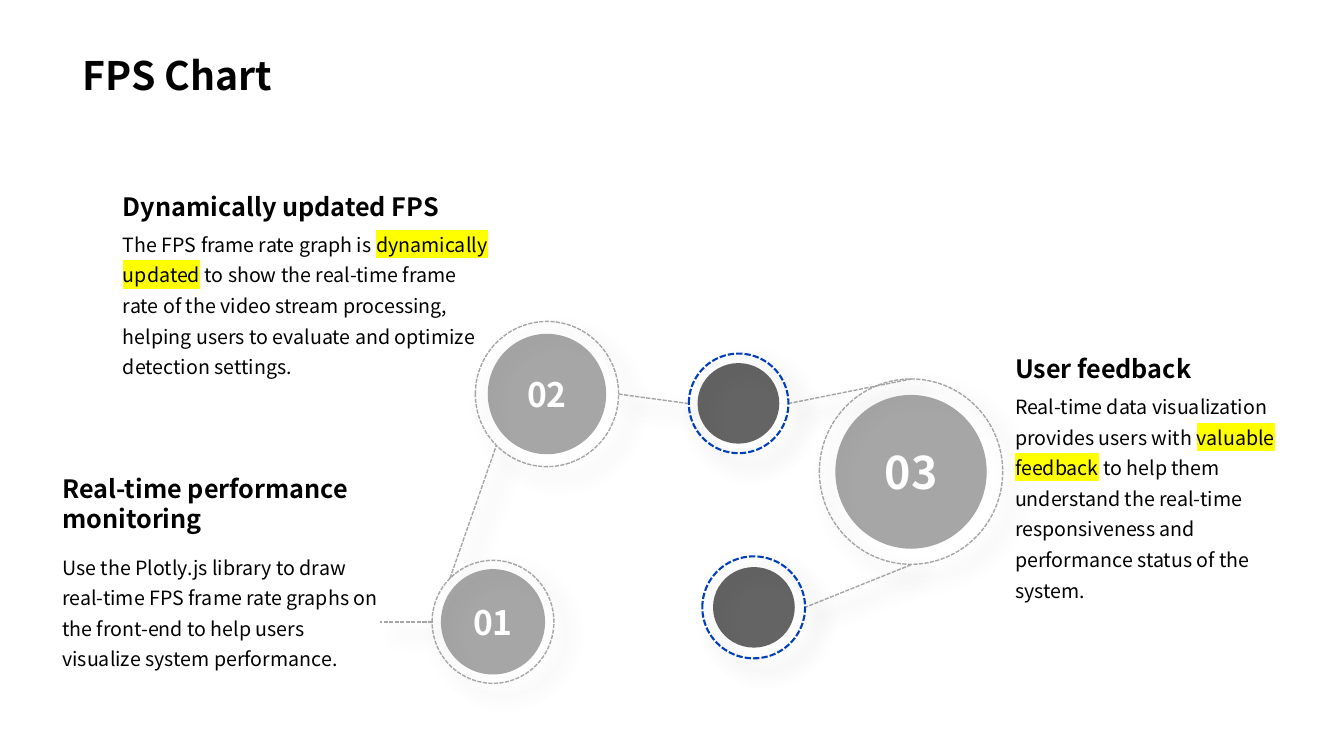
from dataclasses import dataclass
from math import cos, radians, sin

from lxml import etree
from pptx import Presentation
from pptx.dml.color import RGBColor
from pptx.enum.dml import MSO_LINE
from pptx.enum.shapes import MSO_CONNECTOR, MSO_SHAPE
from pptx.enum.text import MSO_ANCHOR, PP_ALIGN
from pptx.oxml.ns import qn
from pptx.util import Cm, Pt

OVAL = MSO_SHAPE.OVAL
STRAIGHT = MSO_CONNECTOR.STRAIGHT
DASH = MSO_LINE.SQUARE_DOT
TOP, MIDDLE, BOTTOM = MSO_ANCHOR.TOP, MSO_ANCHOR.MIDDLE, MSO_ANCHOR.BOTTOM
CENTER = PP_ALIGN.CENTER


@dataclass(frozen=True)
class Theme:
    font: str = "Noto Sans CJK JP"
    ink: str = "000000"
    white: str = "FFFFFF"
    grey: str = "A6A6A6"
    dark: str = "646464"
    blue: str = "003EBB"
    marker: str = "FFFF00"
    title: int = 28
    heading: int = 18
    body: int = 14
    number: int = 24
    big_number: int = 32


THEME = Theme()


@dataclass(frozen=True)
class Node:
    center: tuple
    ring: tuple
    disc: tuple
    fill: str = THEME.grey
    edge: str = THEME.grey
    edge_width: float = 1
    label: str = ""
    size: int = THEME.number

    def rim(self, degrees):
        (x, y), (w, h) = self.center, self.ring
        return x + w / 2 * cos(radians(degrees)), y + h / 2 * sin(radians(degrees))


DARK = {"disc": (2.06, 2.03), "fill": THEME.dark, "edge": THEME.blue, "edge_width": 1.5}
NODES = {
    "monitoring": Node((12.43, 15.67), (3.07, 3.1), (2.59, 2.62), label="01"),
    "updated": Node((13.79, 9.93), (3.61, 3.66), (2.95, 3), label="02"),
    "upper": Node((18.61, 10.17), (2.51, 2.51), **DARK),
    "feedback": Node((22.96, 11.89), (4.62, 4.67), (3.78, 3.84), label="03",
                     size=THEME.big_number),
    "lower": Node((19, 15.3), (2.59, 2.57), **DARK),
}
LINKS = [
    (("monitoring", 225), ("updated", 135)),
    (("updated", 0), ("upper", 180)),
    (("upper", 0), ("feedback", 270)),
    (("feedback", 90), ("lower", 0)),
]
LEAD_END = (9.58, 15.67)

HEADING_HEIGHT = 1.14
NOTES = [
    ((1.57, 12.12, 8, 6.38), 1.7, "Real-time performance monitoring",
     [("Use the Plotly.js library to draw real-time FPS frame rate graphs on the "
       "front-end to help users visualize system performance.", False)]),
    ((3.1, 4.62, 9.42, 5.06), 1.07, "Dynamically updated FPS",
     [("The FPS frame rate graph is ", False), ("dynamically updated", True),
      (" to show the real-time frame rate of the video stream processing, helping "
       "users to evaluate and optimize detection settings.", False)]),
    ((25.58, 8.71, 6.73, 8.26), 1.07, "User feedback",
     [("Real-time data visualization provides users with ", False),
      ("valuable feedback", True),
      (" to help them understand the real-time responsiveness and performance "
       "status of the system.", False)]),
]


def lengths(*values):
    return [Cm(round(value, 2)) for value in values]


def apply(target, formats):
    for name, value in formats.items():
        setattr(target, name, value)


def write(paragraph, text, size, color, bold=False, marked=False):
    run = paragraph.add_run()
    run.text = text
    apply(run.font, {"name": THEME.font, "size": Pt(size), "bold": bold})
    run.font.color.rgb = RGBColor.from_string(color)
    if marked:
        highlight = etree.Element(qn("a:highlight"))
        etree.SubElement(highlight, qn("a:srgbClr"), val=THEME.marker)
        run.font.fill._xPr.find(qn("a:solidFill")).addnext(highlight)


def add_text(slide, box, anchor, inset=(0, 0)):
    frame = slide.shapes.add_textbox(*lengths(*box)).text_frame
    side, edge = lengths(*inset)
    apply(frame, {"word_wrap": True, "vertical_anchor": anchor,
                  "margin_left": side, "margin_right": side,
                  "margin_top": edge, "margin_bottom": edge})
    return frame.paragraphs[0]


def cast_shadow(shape):
    properties = shape._element.spPr
    for effects in properties.findall(qn("a:effectLst")):
        properties.remove(effects)
    effects = etree.SubElement(properties, qn("a:effectLst"))
    shadow = etree.SubElement(effects, qn("a:outerShdw"), blurRad=str(Pt(15)),
                              dist=str(Pt(12)), dir=str(45 * 60000),
                              algn="tl", rotWithShape="0")
    color = etree.SubElement(shadow, qn("a:srgbClr"), val=THEME.ink)
    etree.SubElement(color, qn("a:alpha"), val="40000")


def dash_line(shape, color, width):
    shape.line.color.rgb = RGBColor.from_string(color)
    apply(shape.line, {"width": Pt(width), "dash_style": DASH})
    cast_shadow(shape)


def add_link(slide, start, end):
    link = slide.shapes.add_connector(STRAIGHT, *lengths(*start, *end))
    dash_line(link, THEME.grey, 1)


def add_oval(slide, center, size):
    (x, y), (w, h) = center, size
    oval = slide.shapes.add_shape(OVAL, *lengths(x - w / 2, y - h / 2, w, h))
    oval.shadow.inherit = False
    return oval


def add_node(slide, node):
    disc = add_oval(slide, node.center, node.disc)
    disc.fill.solid()
    disc.fill.fore_color.rgb = RGBColor.from_string(node.fill)
    disc.line.fill.background()
    if node.label:
        disc.line.color.rgb = RGBColor.from_string(node.fill)
        disc.line.width = Pt(1)
        apply(disc.text_frame, {"word_wrap": False, "vertical_anchor": MIDDLE})
        number = disc.text_frame.paragraphs[0]
        number.alignment = CENTER
        write(number, node.label, node.size, THEME.white, bold=True)
    ring = add_oval(slide, node.center, node.ring)
    ring.fill.background()
    dash_line(ring, node.edge, node.edge_width)


def add_chain(slide):
    add_link(slide, NODES["monitoring"].rim(180), LEAD_END)
    for (source, leaving), (target, arriving) in LINKS:
        add_link(slide, NODES[source].rim(leaving), NODES[target].rim(arriving))
    for node in NODES.values():
        add_node(slide, node)


def add_note(slide, box, body_offset, heading, passages):
    left, top, width, height = box
    body = add_text(slide, (left, top + body_offset, width, height - body_offset), TOP)
    apply(body, {"line_spacing": 1.3, "space_after": Pt(10)})
    for text, marked in passages:
        write(body, text, THEME.body, THEME.ink, marked=marked)
    title = add_text(slide, (left, top, min(width, 8), HEADING_HEIGHT), MIDDLE)
    title.space_after = Pt(10)
    write(title, heading, THEME.heading, THEME.ink, bold=True)


def add_title(slide, box):
    title = add_text(slide, box, BOTTOM, inset=(0.25, 0.13))
    write(title, "FPS Chart", THEME.title, THEME.ink, bold=True)


def main():
    deck = Presentation()
    apply(deck, {"slide_width": Cm(33.87), "slide_height": Cm(19.05)})
    slide = deck.slides.add_slide(deck.slide_layouts[6])
    add_chain(slide)
    for note in NOTES:
        add_note(slide, *note)
    add_title(slide, (1.83, 1.17, 29.64, 1.45))
    deck.save("out.pptx")


if __name__ == "__main__":
    main()
